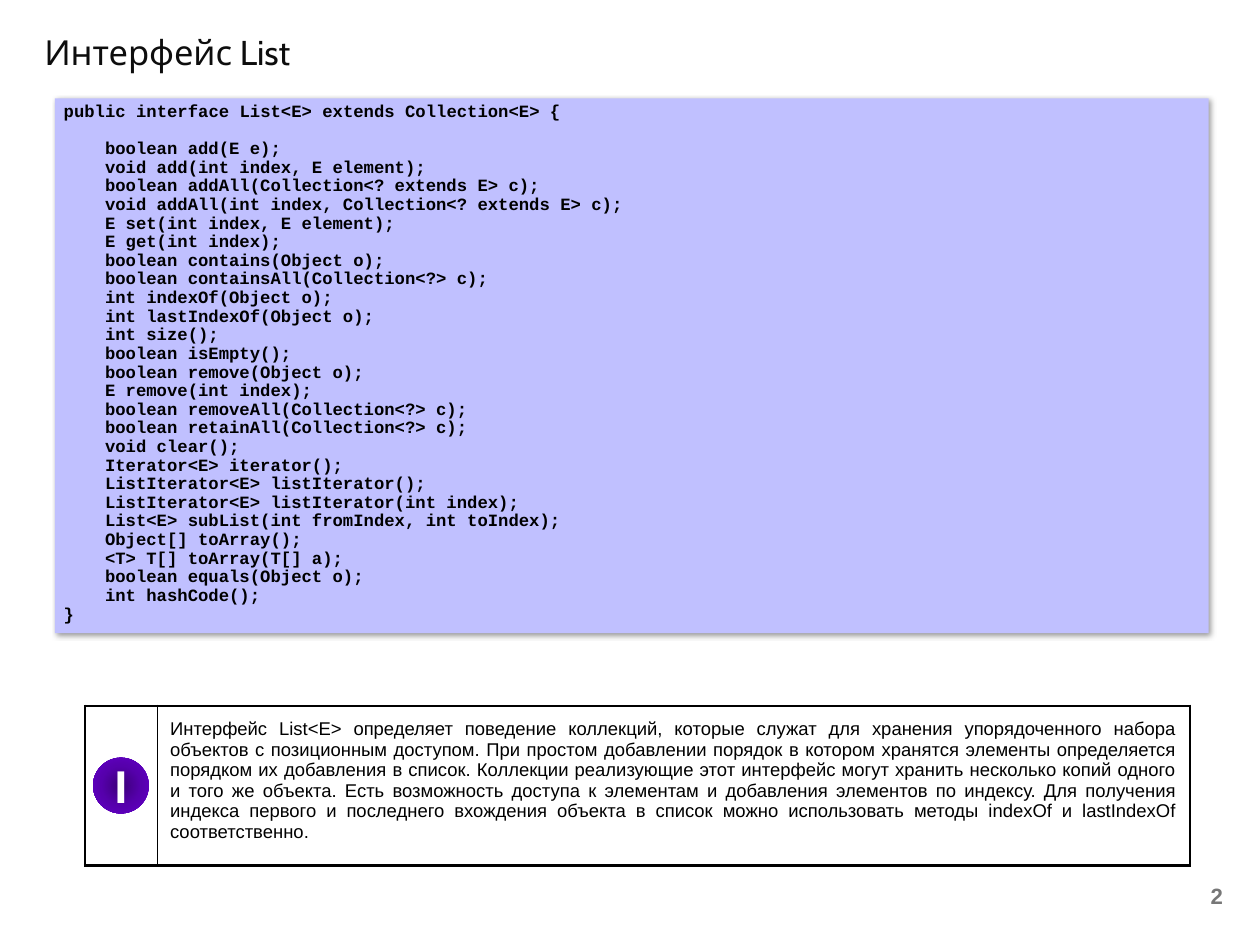
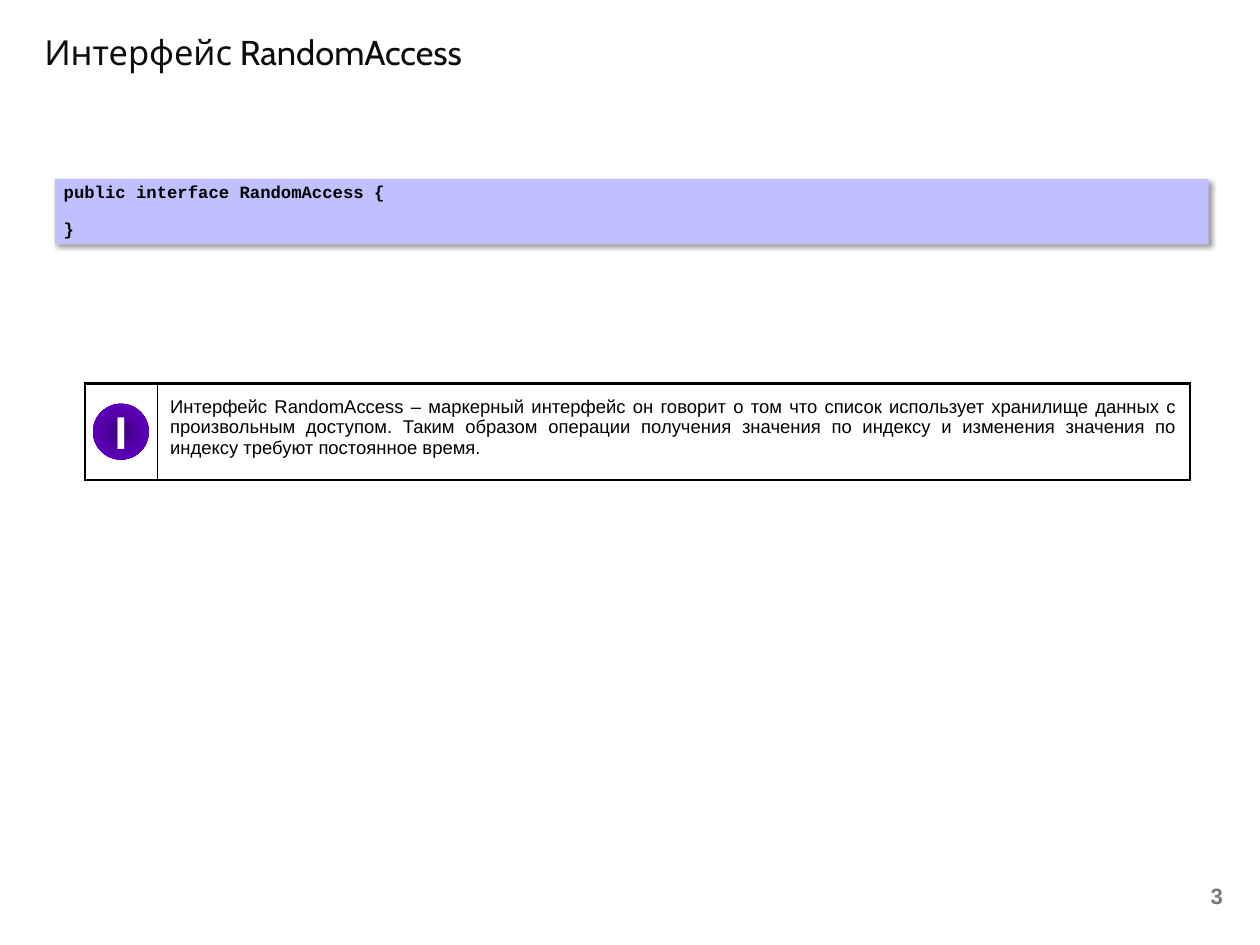
from dataclasses import dataclass

from lxml.etree import SubElement
from pptx import Presentation
from pptx.dml.color import RGBColor
from pptx.enum.shapes import MSO_SHAPE
from pptx.enum.text import MSO_ANCHOR, MSO_AUTO_SIZE, PP_ALIGN
from pptx.oxml import parse_xml
from pptx.oxml.ns import nsdecls, qn
from pptx.util import Inches, Pt


@dataclass(frozen=True)
class Type:
    face: str
    size: float
    color: str
    bold: bool = False


@dataclass(frozen=True)
class Theme:
    title = Type("Cabin", 28, "0D0D0D")
    code = Type("Courier New", 14, "000000", True)
    note = Type("Arial", 15, "000000")
    badge = Type("Open Sans", 36, "FFFFFF", True)
    number = Type("Arial", 18, "777777", True)
    code_fill = "C0C0FF"
    paper = "FFFFFF"
    border = "000000"
    thick = 2.25
    thin = 0.5
    badge_stops = ((0, "3C0079"), (50, "5600AC"), (100, "6600CC"))


THEME = Theme()

LIST_METHODS = [
    "boolean add(E e);",
    "void add(int index, E element);",
    "boolean addAll(Collection<? extends E> c);",
    "void addAll(int index, Collection<? extends E> c);",
    "E set(int index, E element);",
    "E get(int index);",
    "boolean contains(Object o);",
    "boolean containsAll(Collection<?> c);",
    "int indexOf(Object o);",
    "int lastIndexOf(Object o);",
    "int size();",
    "boolean isEmpty();",
    "boolean remove(Object o);",
    "E remove(int index);",
    "boolean removeAll(Collection<?> c);",
    "boolean retainAll(Collection<?> c);",
    "void clear();",
    "Iterator<E> iterator();",
    "ListIterator<E> listIterator();",
    "ListIterator<E> listIterator(int index);",
    "List<E> subList(int fromIndex, int toIndex);",
    "Object[] toArray();",
    "<T> T[] toArray(T[] a);",
    "boolean equals(Object o);",
    "int hashCode();",
]

LIST_NOTE = (
    "Интерфейс List<E> определяет поведение коллекций, которые служат для хранения "
    "упорядоченного набора объектов с позиционным доступом. При простом добавлении "
    "порядок в котором хранятся элементы определяется порядком их добавления в список. "
    "Коллекции реализующие этот интерфейс могут хранить несколько копий одного и того же "
    "объекта. Есть возможность доступа к элементам и добавления элементов по индексу. "
    "Для получения индекса первого и последнего вхождения объекта в список можно "
    "использовать методы indexOf и lastIndexOf соответственно."
)

RANDOM_ACCESS_NOTE = (
    "Интерфейс RandomAccess – маркерный интерфейс он говорит о том что список использует "
    "хранилище данных с произвольным доступом. Таким образом операции получения значения "
    "по индексу и изменения значения по индексу требуют постоянное время."
)


def style_text(frame, style, align):
    for paragraph in frame.paragraphs:
        paragraph.alignment = align
        for run in paragraph.runs:
            run.font.name = style.face
            run.font.size = Pt(style.size)
            run.font.bold = style.bold
            run.font.color.rgb = RGBColor.from_string(style.color)


def add_panel(slide, preset, box):
    panel = slide.shapes.add_shape(preset, *map(Inches, box))
    panel.shadow.inherit = False
    panel.line.fill.background()
    return panel


def place_title(slide, box, text):
    title = slide.shapes.title
    title.left, title.top, title.width, title.height = map(Inches, box)
    frame = title.text_frame
    frame.text = text
    frame.word_wrap = False
    frame.auto_size = MSO_AUTO_SIZE.NONE
    frame.vertical_anchor = MSO_ANCHOR.TOP
    style_text(frame, THEME.title, PP_ALIGN.LEFT)


def add_number(slide, box, number):
    frame = slide.shapes.add_textbox(*map(Inches, box)).text_frame
    frame.word_wrap = True
    frame.text = str(number)
    frame.vertical_anchor = MSO_ANCHOR.MIDDLE
    style_text(frame, THEME.number, PP_ALIGN.RIGHT)


def add_code(slide, box, declaration, methods):
    code = add_panel(slide, MSO_SHAPE.RECTANGLE, box)
    code.fill.solid()
    code.fill.fore_color.rgb = RGBColor.from_string(THEME.code_fill)
    effects = code._element.spPr.find(qn("a:effectLst"))
    effects.append(parse_xml(
        f'<a:outerShdw {nsdecls("a")} blurRad="{Pt(4)}" dist="{Pt(3)}" dir="2700000" '
        'algn="tl" rotWithShape="0"><a:srgbClr val="000000"><a:alpha val="40000"/>'
        '</a:srgbClr></a:outerShdw>'
    ))
    frame = code.text_frame
    frame.text = "\n".join([declaration, *methods, "}"])
    frame.word_wrap = True
    frame.auto_size = MSO_AUTO_SIZE.SHAPE_TO_FIT_TEXT
    frame.vertical_anchor = MSO_ANCHOR.TOP
    style_text(frame, THEME.code, PP_ALIGN.LEFT)
    for paragraph in frame.paragraphs:
        paragraph.line_spacing = 0.9
    for paragraph in frame.paragraphs[1:-1]:
        properties = paragraph._p.get_or_add_pPr()
        properties.set("marL", str(Pt(33.6)))
        properties.set("indent", "0")
    frame.paragraphs[1].space_before = Pt(15)


def format_cell(cell, left_width, right_width):
    properties = cell._tc.get_or_add_tcPr()
    widths = {"L": left_width, "R": right_width, "T": THEME.thick, "B": THEME.thick}
    for side, width in widths.items():
        edge = SubElement(properties, qn(f"a:ln{side}"), w=str(Pt(width)))
        paint = SubElement(edge, qn("a:solidFill"))
        SubElement(paint, qn("a:srgbClr"), val=THEME.border)
    cell.fill.solid()
    cell.fill.fore_color.rgb = RGBColor.from_string(THEME.paper)


def add_badge(slide, box):
    badge = add_panel(slide, MSO_SHAPE.OVAL, box)
    badge.fill.gradient()
    stops = "".join(
        f'<a:gs pos="{position * 1000}"><a:srgbClr val="{color}"/></a:gs>'
        for position, color in THEME.badge_stops
    )
    properties = badge._element.spPr
    properties.replace(properties.find(qn("a:gradFill")), parse_xml(
        f'<a:gradFill {nsdecls("a")}><a:gsLst>{stops}</a:gsLst><a:path path="circle">'
        '<a:fillToRect l="50000" t="50000" r="50000" b="50000"/></a:path></a:gradFill>'
    ))
    frame = badge.text_frame
    frame.margin_left = frame.margin_right = frame.margin_top = frame.margin_bottom = 0
    frame.text = "I"
    frame.vertical_anchor = MSO_ANCHOR.MIDDLE
    style_text(frame, THEME.badge, PP_ALIGN.CENTER)


def add_note(slide, box, text):
    left, top, width, height = box
    badge_column, badge_size = 0.81, 0.63
    table = slide.shapes.add_table(1, 2, *map(Inches, box)).table
    table.first_row = table.horz_banding = False
    table.columns[0].width = Inches(badge_column)
    table.columns[1].width = Inches(width - badge_column)
    badge_cell, note_cell = table.cell(0, 0), table.cell(0, 1)
    format_cell(badge_cell, THEME.thick, THEME.thin)
    format_cell(note_cell, THEME.thin, THEME.thick)
    note_cell.margin_left = note_cell.margin_right = Inches(0.15)
    note_cell.margin_top = note_cell.margin_bottom = Inches(0.15)
    note_cell.text_frame.text = text
    style_text(note_cell.text_frame, THEME.note, PP_ALIGN.JUSTIFY)
    add_badge(slide, (left + (badge_column - badge_size) / 2,
                      top + (height - badge_size) / 2, badge_size, badge_size))


def add_interface_slide(deck, number, title, code, note):
    slide = deck.slides.add_slide(deck.slide_layouts[5])
    place_title(slide, (0.4, 0.3, 11.03, 0.63), title)
    add_number(slide, (10.58, 9.85, 3.32, 0.53), number)
    code_top, code_height, declaration, methods = code
    add_code(slide, (0.62, code_top, 13.02, code_height), declaration, methods)
    note_top, note_height, text = note
    add_note(slide, (0.96, note_top, 12.47, note_height), text)


def main():
    deck = Presentation()
    deck.slide_width, deck.slide_height = Inches(14.22), Inches(10.67)
    add_interface_slide(
        deck, 2, "Интерфейс List",
        (1.11, 6.04, "public interface List<E> extends Collection<E> {", LIST_METHODS),
        (7.97, 1.8, LIST_NOTE),
    )
    add_interface_slide(
        deck, 3, "Интерфейс RandomAccess",
        (2.02, 0.74, "public interface RandomAccess {", []),
        (4.33, 1.09, RANDOM_ACCESS_NOTE),
    )
    deck.save("out.pptx")


if __name__ == "__main__":
    main()
